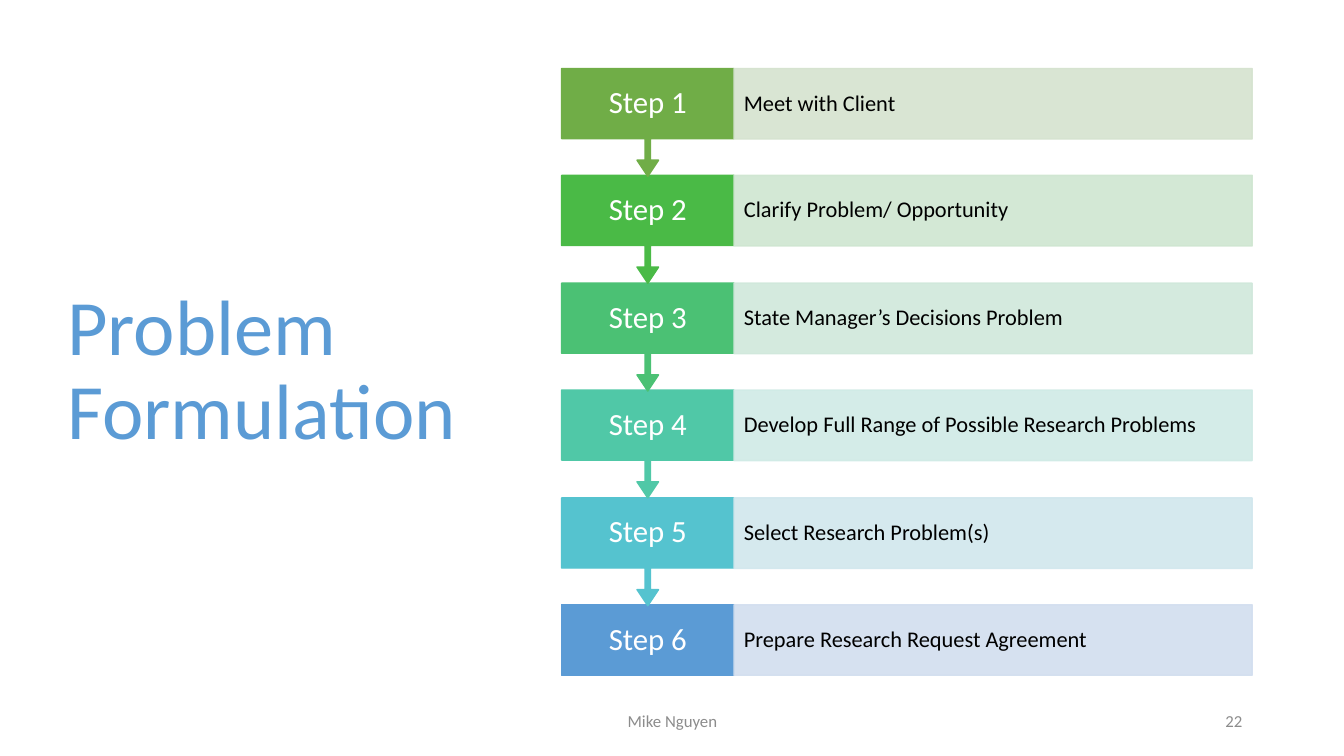
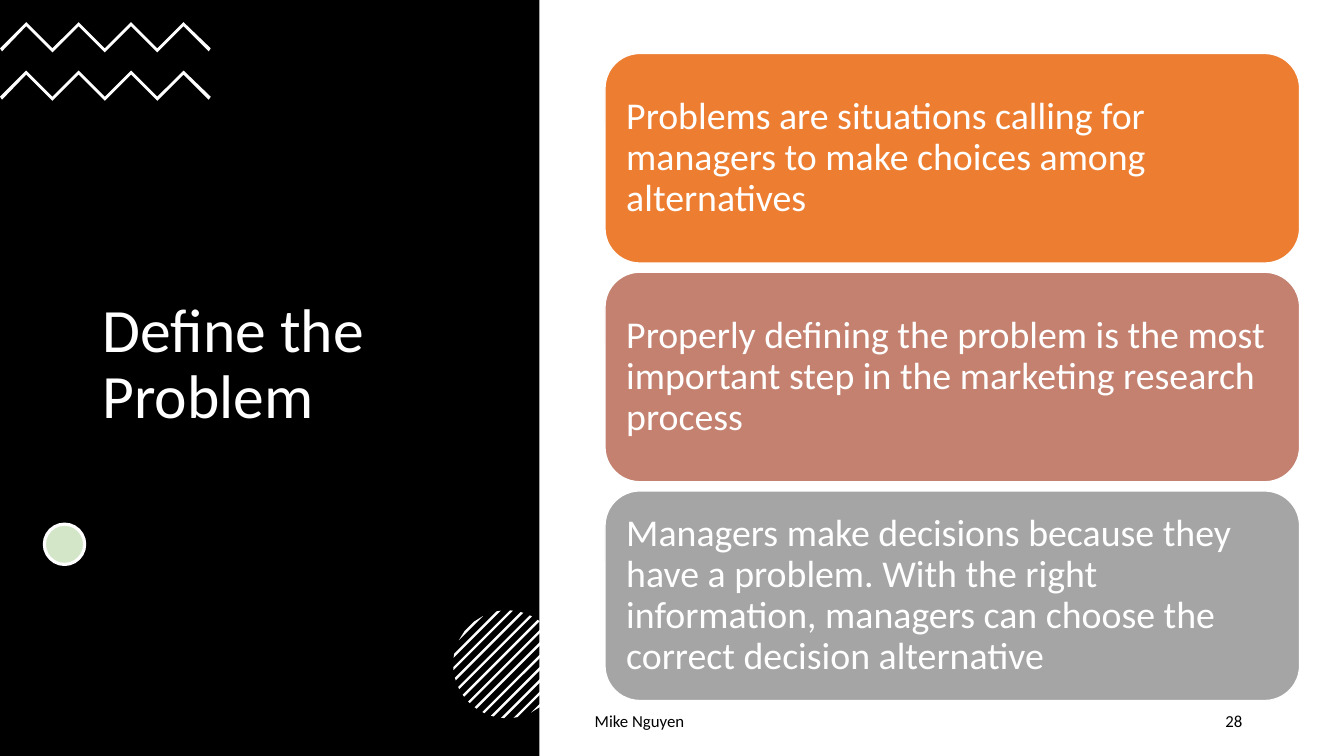
from math import sqrt

from lxml.etree import SubElement
from pptx import Presentation
from pptx.dml.color import RGBColor
from pptx.enum.shapes import MSO_SHAPE
from pptx.enum.text import MSO_ANCHOR, PP_ALIGN
from pptx.oxml.ns import qn
from pptx.util import Emu, Pt

FONT = "Calibri"
WHITE, BLACK, MUTED = "FFFFFF", "000000", "8C8C8C"
BLUE, PALE_GREEN = "5B9BD5", "D4E6C8"
AUTHOR = "Mike Nguyen"

# Label, description, strong colour, tint
STEPS = [
    ("Step 1", "Meet with Client", "70AD47", "D5E3CF"),
    ("Step 2", "Clarify Problem/ Opportunity", "4ABA46", "CFE6D1"),
    ("Step 3", "State Manager’s Decisions Problem", "4BC174", "D0E8DB"),
    ("Step 4", "Develop Full Range of Possible Research Problems", "50C8A7", "D0EBE6"),
    ("Step 5", "Select Research Problem(s)", "55C3CF", "D1E7ED"),
    ("Step 6", "Prepare Research Request Agreement", BLUE, "D2DEEF"),
]
STATEMENTS = [
    ("Problems are situations calling for managers to make choices among "
     "alternatives", "ED7D31"),
    ("Properly defining the problem is the most important step in the marketing "
     "research process", "C48170"),
    ("Managers make decisions because they have a problem. With the right "
     "information, managers can choose the correct decision alternative", "A5A5A5"),
]


def px(length):
    """Turn px (100 to the inch) into EMU."""
    return Emu(round(length * 9144))


def rgb(value):
    return RGBColor.from_string(value)


def write(shape, text, size, color, align=PP_ALIGN.LEFT, insets=(10, 5), spacing=0.9):
    """Fill a shape with one vertically centred paragraph; insets are (side, top)."""
    frame = shape.text_frame
    frame.word_wrap = True
    frame.vertical_anchor = MSO_ANCHOR.MIDDLE
    frame.margin_left = frame.margin_right = px(insets[0])
    frame.margin_top = frame.margin_bottom = px(insets[1])
    paragraph = frame.paragraphs[0]
    paragraph.alignment = align
    paragraph.line_spacing = spacing
    run = paragraph.add_run()
    run.text = text
    run.font.name = FONT
    run.font.size = Pt(size)
    run.font.color.rgb = rgb(color)


def add_label(slide, box, text, size, color, **options):
    label = slide.shapes.add_textbox(*map(px, box))
    write(label, text, size, color, **options)


def paint(shape, fill, line=None, width=1, opacity=100):
    shape.shadow.inherit = False
    shape.fill.solid()
    shape.fill.fore_color.rgb = rgb(fill)
    if line:
        shape.line.color.rgb = rgb(line)
        shape.line.width = Pt(width)
    else:
        shape.line.fill.background()
    if opacity < 100:
        for color in list(shape.element.spPr.iter(qn("a:srgbClr"))):
            SubElement(color, qn("a:alpha"), val=str(opacity * 1000))


def add_block(slide, kind, box, fill, **style):
    block = slide.shapes.add_shape(kind, *map(px, box))
    paint(block, fill, **style)
    return block


def add_outline(slide, points, fill):
    start, *rest = [(px(x), px(y)) for x, y in points]
    builder = slide.shapes.build_freeform(*start)
    builder.add_line_segments(rest, close=True)
    paint(builder.convert_to_shape(), fill)


def add_footer(slide, author_box, number, color, align):
    add_label(slide, author_box, AUTHOR, 12, color, align=align, spacing=1.0)
    add_label(slide, (942, 695, 300, 40), number, 12, color,
              align=PP_ALIGN.RIGHT, spacing=1.0)


def add_step(slide, top, step, is_last):
    label, description, color, tint = step
    if is_last:
        marker = add_block(slide, MSO_SHAPE.RECTANGLE, (557, top, 171, 70),
                           color, line=color)
    else:
        marker = add_block(slide, MSO_SHAPE.DOWN_ARROW_CALLOUT, (557, top, 171, 107),
                           color, line=color)
        for index, ratio in enumerate((0.05, 0.1, 0.15, 0.65)):
            marker.adjustments[index] = ratio
    write(marker, label, 22, WHITE, align=PP_ALIGN.CENTER, insets=(12, 10))
    bar = add_block(slide, MSO_SHAPE.RECTANGLE, (728, top, 514, 70),
                    tint, line=tint, opacity=90)
    write(bar, description, 16, BLACK, insets=(10, 20))


def add_zigzag(slide, top):
    crests = [(209 * i // 8, top + (0 if i % 2 else 26)) for i in range(9)]
    underside = [(x, y + 4) for x, y in crests[-2:0:-1]]
    right_end, left_end = (207, top + 29), (2, top + 29)
    add_outline(slide, [*crests, right_end, *underside, left_end], WHITE)


def add_striped_disc(slide, center_x, center_y, radius):
    """Draw diagonal stripes cut off by a circle."""
    pitch, thickness = 8.65, 2.4

    def chord(distance):
        distance = max(-radius, min(radius, distance))
        half = sqrt(radius ** 2 - distance ** 2)
        return [(center_x + (distance + side * half) / sqrt(2),
                 center_y + (distance - side * half) / sqrt(2)) for side in (1, -1)]

    for k in range(-6, 7):
        near = chord(k * pitch - thickness / 2)
        far = chord(k * pitch + thickness / 2)
        add_outline(slide, near + far[::-1], WHITE)


def build_formulation(slide):
    add_label(slide, (57, 68, 416, 602), "Problem Formulation", 56, BLUE)
    add_footer(slide, (442, 695, 450, 40), "22", MUTED, PP_ALIGN.CENTER)
    last = len(STEPS) - 1
    # Bottom up, so that each arrow tip lies over the next step
    for i in range(last, -1, -1):
        add_step(slide, 68 + round(i * 532 / last), STEPS[i], i == last)


def build_definition(slide):
    add_block(slide, MSO_SHAPE.RECTANGLE, (0, 0, 535, 750), BLACK)
    add_label(slide, (92, 131, 350, 463), "Define the Problem", 44, WHITE)
    for top in (22, 70):
        add_zigzag(slide, top)
    add_block(slide, MSO_SHAPE.OVAL, (44, 520, 40, 40), PALE_GREEN,
              line=WHITE, width=2.25)
    add_striped_disc(slide, 503, 659, 53.5)
    add_footer(slide, (580, 695, 481, 40), "28", BLACK, PP_ALIGN.LEFT)
    for i, (statement, color) in enumerate(STATEMENTS):
        card = add_block(slide, MSO_SHAPE.ROUNDED_RECTANGLE,
                         (600, 53 + 217 * i, 689, 208), color, line=WHITE)
        write(card, statement, 27, WHITE, insets=(11, 11))


def main():
    deck = Presentation()
    deck.slide_width, deck.slide_height = px(1333), px(750)
    blank = deck.slide_layouts[6]
    for build in (build_formulation, build_definition):
        build(deck.slides.add_slide(blank))
    deck.save("out.pptx")


if __name__ == "__main__":
    main()
